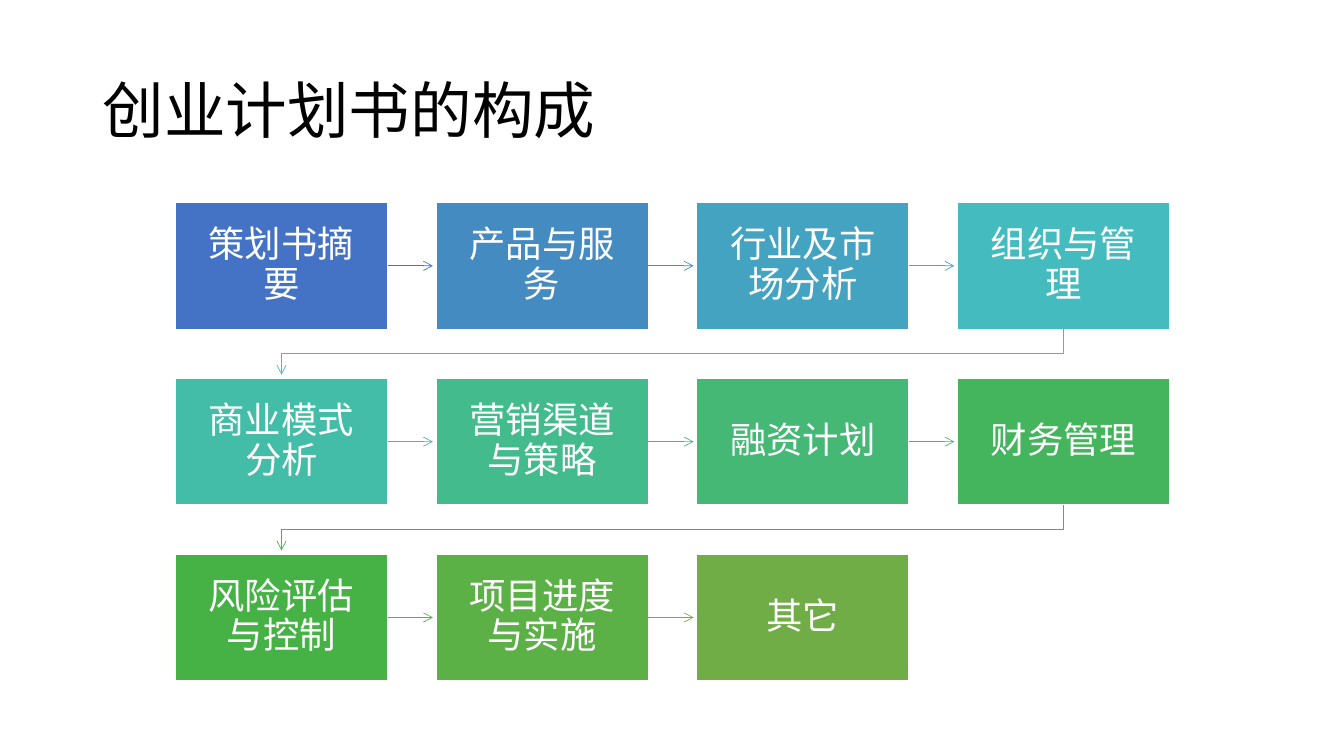
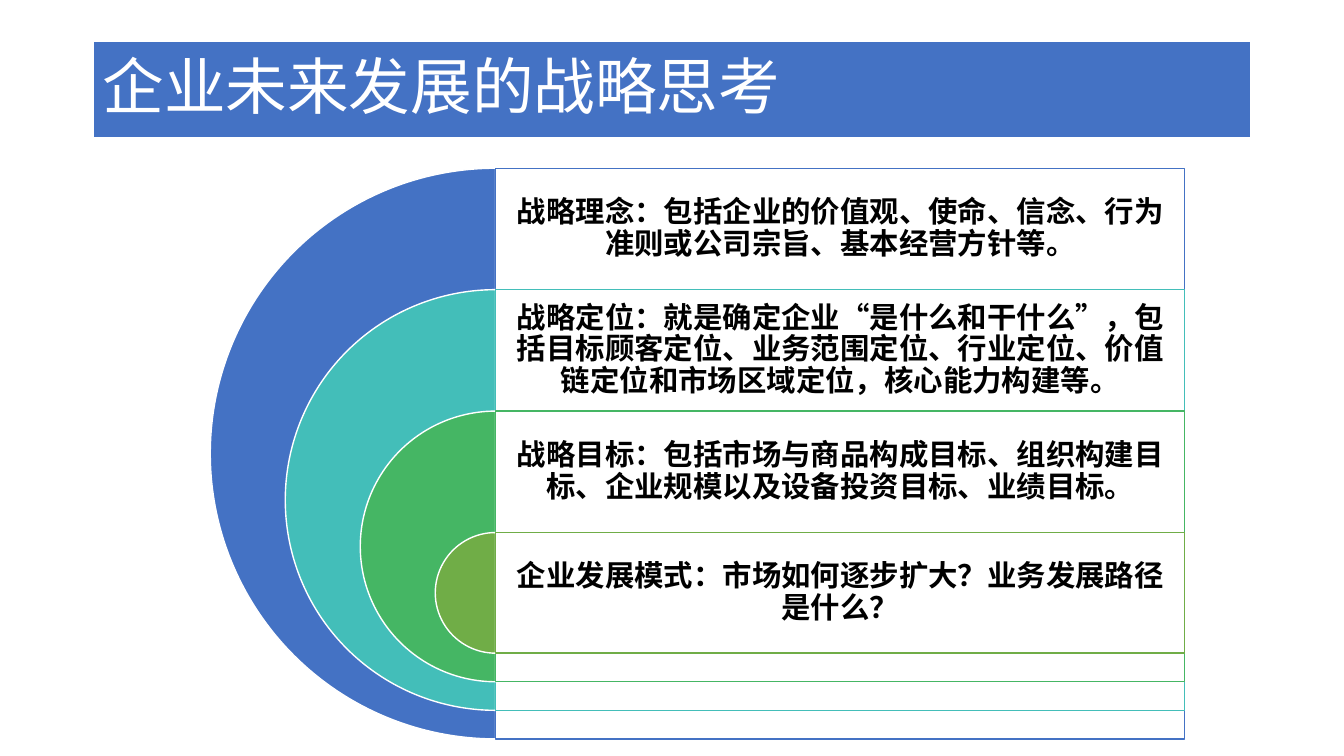
from lxml import etree
from pptx import Presentation
from pptx.dml.color import RGBColor
from pptx.enum import shapes, text
from pptx.oxml.ns import qn
from pptx.util import Cm, Pt

BLUE, TEAL, GREEN, OLIVE = "4472C4", "43BEB9", "45B664", "70AD47"
WHITE, BLACK = "FFFFFF", "000000"
FONT = "Calibri"


def paint(fill, color, opacity=None):
    """Make a shape, line or font fill solid; opacity is in percent."""
    fill.solid()
    fill.fore_color.rgb = RGBColor.from_string(color)
    if opacity is not None:
        srgb = fill._xPr.find(".//" + qn("a:srgbClr"))
        etree.SubElement(srgb, qn("a:alpha"), val=str(opacity * 1000))


def write(sp, content, size, color, bold=False, align=text.PP_ALIGN.CENTER, inset=None):
    tf = sp.text_frame
    tf.word_wrap = True
    tf.auto_size = text.MSO_AUTO_SIZE.NONE
    tf.vertical_anchor = text.MSO_ANCHOR.MIDDLE
    if inset is not None:
        tf.margin_left = tf.margin_right = tf.margin_top = tf.margin_bottom = Cm(inset)
    p = tf.paragraphs[0]
    p.alignment = align
    p.line_spacing = 0.9
    r = p.add_run()
    r.text = content
    r.font.name, r.font.size, r.font.bold = FONT, Pt(size), bold
    paint(r.font.fill, color)


prs = Presentation()
prs.slide_width, prs.slide_height = Cm(33.87), Cm(19.05)

# Titles: text, height, text colour, band colour
titles = [
    ("创业计划书的构成", 3.68, BLACK, None),
    ("企业未来发展的战略思考", 2.46, WHITE, BLUE),
]
for title, height, color, band in titles:
    s = prs.slides.add_slide(prs.slide_layouts[5])
    sp = s.shapes.title
    sp.left, sp.top, sp.width, sp.height = Cm(2.33), Cm(1.02), Cm(29.21), Cm(height)
    write(sp, title, 44, color, align=text.PP_ALIGN.LEFT)
    if band:
        paint(sp.fill, band)
        paint(sp.line.fill, WHITE)
        sp.line.width = Pt(1.5)
plan, strategy = prs.slides

# Plan: a flow that runs row by row; each step has its box and outgoing arrow colour
steps = [
    ("策划书摘要", "4472C4", "4472C4"),
    ("产品与服务", "448BC2", "448EC2"),
    ("行业及市场分析", "44A3C0", "43A9C0"),
    ("组织与管理", "43BBBF", "43BEB9"),
    ("商业模式分析", "43BDA7", "43BC9C"),
    ("营销渠道与策略", "43BB8D", "44B97F"),
    ("融资计划", "44B874", "45B664"),
    ("财务管理", "45B55D", "45B34B"),
    ("风险评估与控制", "46B246", "59B046"),
    ("项目进度与实施", "5BB046", "70AD47"),
    ("其它", "70AD47", None),
]
COLUMNS = 4
LEFT, TOP, BOX_W, BOX_H = Cm(4.42), Cm(5.1), Cm(5.35), Cm(3.2)
STEP_X, STEP_Y, ARROW = Cm(6.57), Cm(4.43), Cm(1.14)

for i, (label, box_color, arrow_color) in enumerate(steps):
    row, col = divmod(i, COLUMNS)
    x, y = LEFT + col * STEP_X, TOP + row * STEP_Y
    box = plan.shapes.add_shape(shapes.MSO_SHAPE.RECTANGLE, x, y, BOX_W, BOX_H)
    box.shadow.inherit = False
    paint(box.fill, box_color)
    paint(box.line.fill, WHITE)
    box.line.width = Pt(1)
    write(box, label, 26, WHITE, inset=0.51)
    if arrow_color is None:
        continue
    if col < COLUMNS - 1:
        right, middle = x + BOX_W, y + BOX_H // 2
        arrow = plan.shapes.add_connector(
            shapes.MSO_CONNECTOR.STRAIGHT, right, middle, right + ARROW, middle)
        arrow.begin_connect(box, 3)
    else:
        start_x, end_x = x + BOX_W // 2, LEFT + BOX_W // 2
        bottom = y + BOX_H
        bend = bottom + (STEP_Y - BOX_H) // 2
        path_builder = plan.shapes.build_freeform(start_x, bottom)
        path_builder.add_line_segments(
            [(start_x, bend), (end_x, bend), (end_x, bottom + ARROW)], close=False)
        arrow = path_builder.convert_to_shape()
        arrow.fill.background()
    paint(arrow.line.fill, arrow_color)
    arrow.line.width = Pt(0.5)
    sp_pr = arrow.element.spPr
    etree.SubElement(sp_pr.find(qn("a:ln")), qn("a:tailEnd"), type="arrow")
    etree.SubElement(sp_pr, qn("a:effectLst"))

# Strategy: nested half discs, each with a panel to its right
levels = [
    ("战略理念：包括企业的价值观、使命、信念、行为准则或公司宗旨、基本经营方针等。", BLUE),
    ("战略定位：就是确定企业“是什么和干什么”，包括目标顾客定位、业务范围定位、行业定位、"
     "价值链定位和市场区域定位，核心能力构建等。", TEAL),
    ("战略目标：包括市场与商品构成目标、组织构建目标、企业规模以及设备投资目标、业绩目标。", GREEN),
    ("企业发展模式：市场如何逐步扩大？业务发展路径是什么？", OLIVE),
]
CENTER, PANEL_W, LEVEL_H = Cm(12.49), Cm(17.37), Cm(3.06)
DISC, DISC_STEP = Cm(14.38), Cm(3.78)

for i, (content, color) in enumerate(levels):
    y, size = Cm(4.24) + i * LEVEL_H, DISC - i * DISC_STEP
    disc = strategy.shapes.add_shape(
        shapes.MSO_SHAPE.PIE, CENTER - size // 2, y, size, size)
    disc.adjustments[0], disc.adjustments[1] = 54, 162
    panel = strategy.shapes.add_shape(
        shapes.MSO_SHAPE.RECTANGLE, CENTER, y, PANEL_W, size)
    for sp, fill, line, opacity in ((disc, color, WHITE, None), (panel, WHITE, color, 90)):
        sp.shadow.inherit = False
        paint(sp.fill, fill, opacity)
        paint(sp.line.fill, line)
        sp.line.width = Pt(1)
    caption = strategy.shapes.add_textbox(CENTER, y, PANEL_W, LEVEL_H)
    write(caption, content, 21, BLACK, bold=True, inset=0.23)

prs.save("out.pptx")
